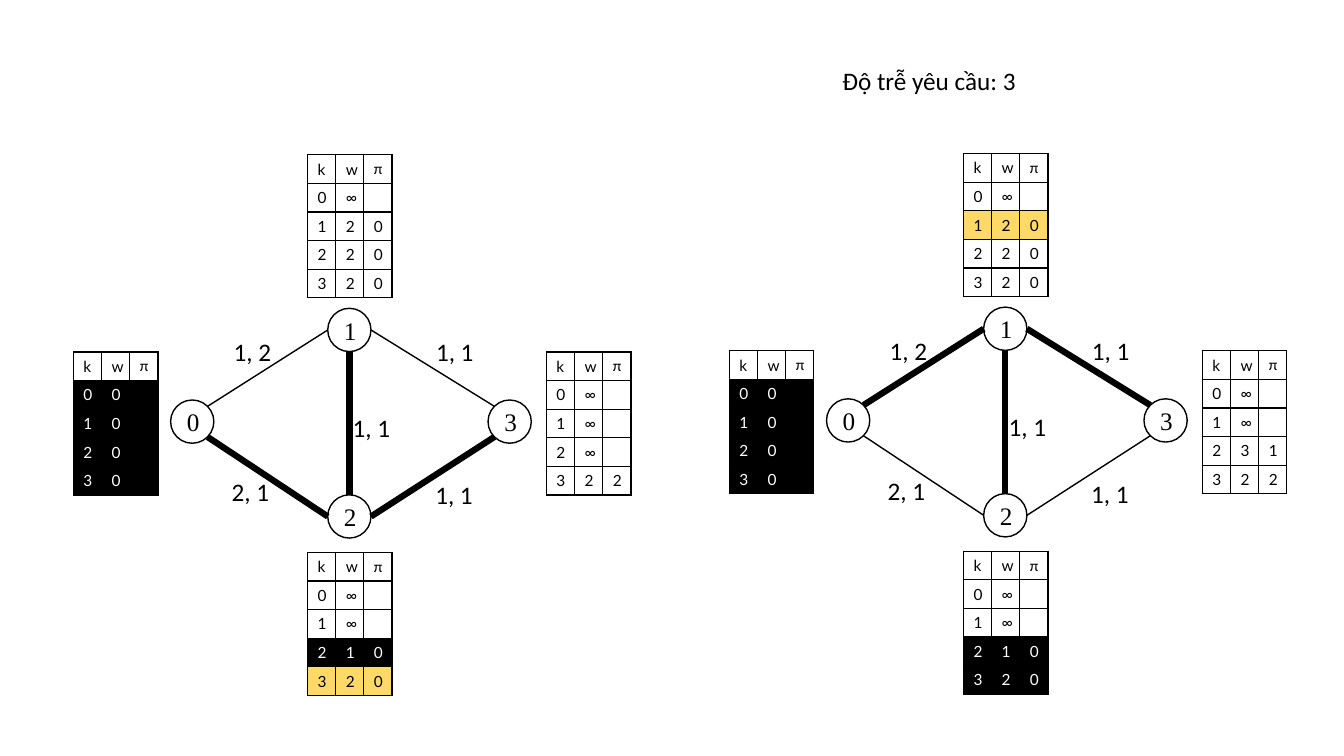
from math import cos, radians, sin

from lxml import etree
from pptx import Presentation
from pptx.dml.color import RGBColor
from pptx.enum.shapes import MSO_CONNECTOR, MSO_SHAPE
from pptx.enum.text import MSO_ANCHOR, MSO_AUTO_SIZE, PP_ALIGN
from pptx.oxml.ns import qn
from pptx.util import Cm, Pt

STRAIGHT, ELLIPSE = MSO_CONNECTOR.STRAIGHT, MSO_SHAPE.OVAL
MIDDLE, CENTER = MSO_ANCHOR.MIDDLE, PP_ALIGN.CENTER
FIT_TEXT = MSO_AUTO_SIZE.SHAPE_TO_FIT_TEXT

BLACK = RGBColor(0x00, 0x00, 0x00)
WHITE = RGBColor(0xFF, 0xFF, 0xFF)
YELLOW = RGBColor(0xFF, 0xD9, 0x66)

# All lengths below are in centimetres
DIAMETER = 1.09
COLUMN, ROW = 0.71, 0.72
THIN, THICK = 1, 4.5
RIGHT_GRAPH = (16.53, -0.03)

# Top left corners of the nodes and of their tables
NODES = [(4.3, 10.08), (8.26, 7.77), (8.26, 12.47), (12.3, 10.08)]
TABLES = [(1.85, 8.87), (7.75, 3.9), (7.75, 13.92), (13.77, 8.87)]

# Start node and angle, end node and angle (clockwise from the right)
EDGES = {
    "01": (0, -45, 1, 180),
    "02": (0, 45, 2, 180),
    "13": (1, 0, 3, -135),
    "23": (2, 0, 3, 135),
    "12": (1, 90, 2, -90),
}
EDGE_LABELS = [
    ("1, 2", 5.64, 8.36),
    ("1, 1", 8.64, 10.26),
    ("1, 1", 10.72, 11.96),
    ("2, 1", 5.59, 11.89),
    ("1, 1", 10.74, 8.36),
]

# Rows of k, w, π below the header
HEADER = ("k", "w", "π")
SOURCE_ROWS = [(k, "0", "") for k in "0123"]
NODE1_ROWS = [("0", "∞", ""), ("1", "2", "0"), ("2", "2", "0"), ("3", "2", "0")]
NODE2_ROWS = [("0", "∞", ""), ("1", "∞", ""), ("2", "1", "0"), ("3", "2", "0")]
NODE3_ROWS = [("0", "∞", ""), ("1", "∞", ""), ("2", "∞", ""), ("3", "2", "2")]
NODE3_FINAL_ROWS = NODE3_ROWS[:2] + [("2", "3", "1"), ("3", "2", "2")]
SOURCE_TABLE = (SOURCE_ROWS, {row: BLACK for row in range(1, 5)})

# Each table has its rows and the fills of highlighted rows
LEFT_TABLES = [
    SOURCE_TABLE,
    (NODE1_ROWS, {2: WHITE}),
    (NODE2_ROWS, {3: BLACK, 4: YELLOW}),
    (NODE3_ROWS, {}),
]
RIGHT_TABLES = [
    SOURCE_TABLE,
    (NODE1_ROWS, {2: YELLOW}),
    (NODE2_ROWS, {3: BLACK, 4: BLACK}),
    (NODE3_FINAL_ROWS, {}),
]


def set_text(frame, text, font_name, size, color=BLACK):
    frame.text = text
    for run in frame.paragraphs[0].runs:
        run.font.name = font_name
        run.font.size = Pt(size)
        run.font.color.rgb = color


def add_label(slide, text, x, y, width):
    label = slide.shapes.add_textbox(Cm(x), Cm(y), Cm(width), Cm(1.03))
    frame = label.text_frame
    frame.word_wrap = False
    frame.auto_size = FIT_TEXT
    set_text(frame, text, "Calibri", 18)


def add_node(slide, text, x, y):
    node = slide.shapes.add_shape(ELLIPSE, Cm(x), Cm(y), Cm(DIAMETER), Cm(DIAMETER))
    node.shadow.inherit = False
    node.fill.solid()
    node.fill.fore_color.rgb = WHITE
    node.line.color.rgb = BLACK
    node.line.width = Pt(THIN)
    frame = node.text_frame
    set_text(frame, text, "Times New Roman", 18)
    frame.vertical_anchor = MIDDLE
    frame.paragraphs[0].alignment = CENTER


def rim_point(node, angle, offset):
    """Point on the rim of a node."""
    radius = DIAMETER / 2
    x, y = NODES[node]
    return (Cm(x + offset[0] + radius * (1 + cos(radians(angle)))),
            Cm(y + offset[1] + radius * (1 + sin(radians(angle)))))


def add_edge(slide, edge, weight, offset):
    start, start_angle, end, end_angle = edge
    line = slide.shapes.add_connector(
        STRAIGHT,
        *rim_point(start, start_angle, offset),
        *rim_point(end, end_angle, offset))
    line.line.color.rgb = BLACK
    line.line.width = Pt(weight)
    etree.SubElement(line._element.spPr, qn("a:effectLst"))


def add_borders(cell):
    properties = cell._tc.get_or_add_tcPr()
    for position, side in enumerate(("a:lnL", "a:lnR", "a:lnT", "a:lnB")):
        border = etree.Element(qn(side), w=str(Pt(1)))
        fill = etree.SubElement(border, qn("a:solidFill"))
        etree.SubElement(fill, qn("a:srgbClr"), val=str(BLACK))
        properties.insert(position, border)


def fill_cell(cell, text, color):
    if color is None:
        cell.fill.background()
    else:
        cell.fill.solid()
        cell.fill.fore_color.rgb = color
    add_borders(cell)
    if text:
        set_text(cell.text_frame, text, "Calibri" if text == "π" else "Lato", 11,
                 WHITE if color == BLACK else BLACK)
    else:
        # An empty cell must not stretch its row
        paragraph = cell.text_frame.paragraphs[0]
        etree.SubElement(paragraph._p, qn("a:endParaRPr"), sz="1100")


def add_node_table(slide, rows, fills, x, y):
    rows = [HEADER] + rows
    table = slide.shapes.add_table(
        len(rows), len(HEADER), Cm(x), Cm(y),
        Cm(COLUMN * len(HEADER)), Cm(ROW * len(rows))).table
    table.first_row = False
    table.horz_banding = False
    for column in table.columns:
        column.width = Cm(COLUMN)
    for r, values in enumerate(rows):
        table.rows[r].height = Cm(ROW)
        for c, text in enumerate(values):
            fill_cell(table.cell(r, c), text, fills.get(r))


def add_graph(slide, offset, thick_edges, tables):
    dx, dy = offset
    for number, (x, y) in enumerate(NODES):
        add_node(slide, str(number), x + dx, y + dy)
    for name, edge in EDGES.items():
        add_edge(slide, edge, THICK if name in thick_edges else THIN, offset)
    for text, x, y in EDGE_LABELS:
        add_label(slide, text, x + dx, y + dy, 1.47)
    for (rows, fills), (x, y) in zip(tables, TABLES):
        add_node_table(slide, rows, fills, x + dx, y + dy)


def main():
    presentation = Presentation()
    presentation.slide_width = Cm(33.87)
    presentation.slide_height = Cm(19.05)
    slide = presentation.slides.add_slide(presentation.slide_layouts[6])

    # Required delay
    add_label(slide, "Độ trễ yêu cầu: 3", 20.98, 1.52, 4.93)

    # Two states of the graph
    add_graph(slide, (0, 0), {"02", "23", "12"}, LEFT_TABLES)
    add_graph(slide, RIGHT_GRAPH, {"01", "13", "12"}, RIGHT_TABLES)

    presentation.save("out.pptx")


if __name__ == "__main__":
    main()
